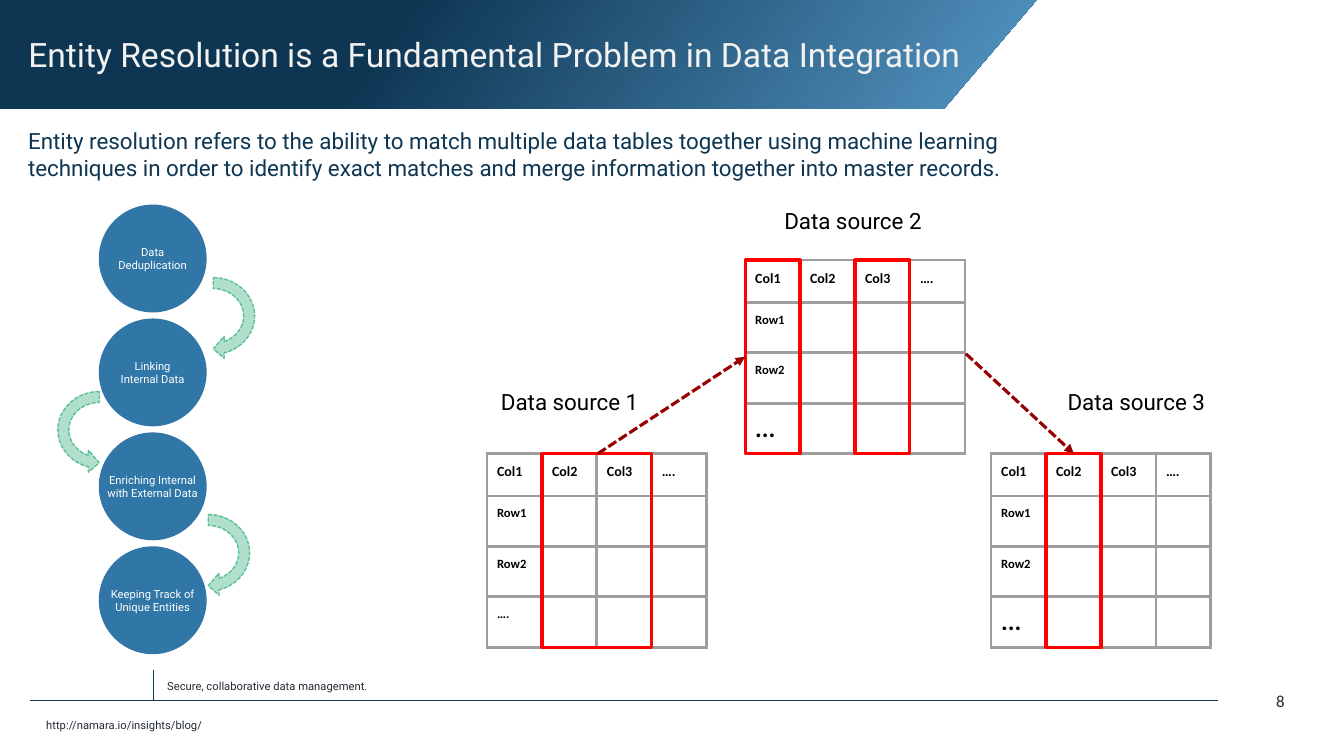
from pptx import Presentation
from pptx.dml.color import RGBColor as RGB
from pptx.enum.dml import MSO_LINE as Dash
from pptx.enum.shapes import MSO_CONNECTOR as Link, MSO_SHAPE as Kind
from pptx.enum.text import MSO_ANCHOR as Anchor, PP_ALIGN as Align
from pptx.oxml import parse_xml
from pptx.oxml.ns import nsdecls
from pptx.util import Inches, Pt
from lxml import etree

NAVY = RGB(0x0E, 0x36, 0x53)
SKY = RGB(0x55, 0x97, 0xC5)
BLUE = RGB(0x30, 0x76, 0xA6)
MINT = RGB(0x5B, 0xBF, 0x96)
SLATE = RGB(0x22, 0x2A, 0x35)
PALE = RGB(0xF2, 0xF2, 0xF2)
WHITE = RGB(0xFF, 0xFF, 0xFF)
BLACK = RGB(0, 0, 0)
GRAY = RGB(0x9E, 0x9E, 0x9E)
RED = RGB(0xFF, 0, 0)
WINE = RGB(0x98, 0, 0)

NOTE = {"size": Pt(8), "name": "Roboto"}
LABEL = {"size": Pt(16), "name": "Roboto"}
CELL = {"name": "Calibri", "bold": True}


def put(item, look):
    """Set each named value on the item."""
    for key, value in look.items():
        setattr(item, key, value)


def write(frame, text, look, color, align=Align.LEFT, **setup):
    """Fill a text frame, one paragraph per line."""
    put(frame, {"word_wrap": True, **setup})
    frame.text = text
    for para in frame.paragraphs:
        para.alignment = align
        for run in para.runs:
            put(run.font, look)
            run.font.color.rgb = color


def label(slide, box, text, look, color, align=Align.LEFT, **setup):
    """Add a text box."""
    area = slide.shapes.add_textbox(*map(Inches, box))
    write(area.text_frame, text, look, color, align, **setup)


def shape(slide, kind, box, fill=None, line=None, width=1):
    """Add a preset shape with its fill and line."""
    part = slide.shapes.add_shape(kind, *box)
    part.shadow.inherit = False
    if fill is None:
        part.fill.background()
    else:
        part.fill.solid()
        part.fill.fore_color.rgb = fill
    if line is None:
        part.line.fill.background()
    else:
        part.line.color.rgb = line
        part.line.width = Pt(width)
    return part


def rule(slide, ends, color, width):
    """Add a straight line without a shadow."""
    line = slide.shapes.add_connector(Link.STRAIGHT, *map(Inches, ends))
    line.line.color.rgb = color
    line.line.width = Pt(width)
    line._element.spPr.append(parse_xml(f"<a:effectLst {nsdecls('a')}/>"))
    return line


def arrow(slide, ends):
    """Add a dashed arrow between two tables."""
    line = rule(slide, ends, WINE, 2.25)
    line.line.dash_style = Dash.SQUARE_DOT
    head = parse_xml(f'<a:tailEnd {nsdecls("a")} type="triangle"/>')
    line.line._get_or_add_ln().append(head)


def banner(slide, left, top, width, height):
    """Draw the slanted title band."""
    slant = 0.92
    right, base = left + width, top + height
    form = slide.shapes.build_freeform(Inches(left), Inches(base), 1)
    edge = [(0, top), (right, top), (right - slant, base)]
    form.add_line_segments([(Inches(x), Inches(y)) for x, y in edge])
    band = form.convert_to_shape()
    band.shadow.inherit = False
    band.line.fill.background()
    band.fill.gradient()
    band.fill.gradient_angle = 360 - 36
    stops = zip(band.fill.gradient_stops, (0.37, 1), (NAVY, SKY))
    for stop, place, color in stops:
        stop.position = place
        stop.color.rgb = color
    write(band.text_frame,
          "Entity Resolution is a Fundamental Problem in Data Integration",
          {"size": Pt(24), "name": "Roboto"}, PALE,
          vertical_anchor=Anchor.MIDDLE, margin_left=Inches(0.29))


def footer(slide, left, top, width):
    """Draw the rules, the notes and the page number."""
    tick = left + 1.22
    rule(slide, (left, top, left + width, top), NAVY, 0.5)
    rule(slide, (tick, top - 0.3, tick, top), NAVY, 0.5)
    label(slide, (tick + 0.04, top - 0.26, 2.22, 0.24),
          "Secure, collaborative data management.", NOTE, SLATE)
    label(slide, (left + 0.06, top + 0.13, 1.75, 0.24),
          "http://namara.io/insights/blog/", NOTE, SLATE)
    label(slide, (left + 9.54, top - 0.2, 3, 0.4), "8",
          {"size": Pt(12), "name": "Calibri"}, SLATE, Align.RIGHT,
          vertical_anchor=Anchor.MIDDLE)


def steps(slide, left, top):
    """Draw the chain of circles and the curved arrows."""
    names = ("Data\nDeduplication", "Linking\nInternal Data",
             "Enriching Internal\nwith External Data",
             "Keeping Track of\nUnique Entities")
    size, pitch = 1.07, 1.13
    for i, name in enumerate(names):
        box = (left, top + i * pitch, size, size)
        disc = shape(slide, Kind.OVAL, map(Inches, box), BLUE)
        write(disc.text_frame, name, NOTE, WHITE, Align.CENTER,
              word_wrap=False, vertical_anchor=Anchor.MIDDLE)
    bends = ((0.7, 0.64, False), (0.65, 2.99, False), (-0.43, 1.77, True))
    for dx, dy, flip in bends:
        box = (left + dx, top + dy, 0.87, 0.93)
        bend = shape(slide, Kind.CIRCULAR_ARROW, map(Inches, box), MINT, MINT)
        bend.rotation = 90
        bend.line.dash_style = Dash.SQUARE_DOT
        if flip:
            bend._element.spPr.xfrm.set("flipV", "1")
        tint = bend._element.spPr.find("{*}solidFill/{*}srgbClr")
        tint.append(parse_xml(f'<a:alpha {nsdecls("a")} val="48000"/>'))


def border(cell):
    """Give a cell four gray edges and no fill."""
    props = cell._tc.get_or_add_tcPr()
    for side in "LRTB":
        edge = etree.fromstring(
            f'<a:ln{side} {nsdecls("a")} w="{Pt(2.25)}"><a:solidFill>'
            f'<a:srgbClr val="{GRAY}"/></a:solidFill></a:ln{side}>')
        props.append(edge)
    cell.fill.background()


def source(slide, left, top, name, shift, last, marks):
    """Draw one data table, its name and its marked columns."""
    x, y, width, height = map(Inches, (left, top, 2.18, 1.92))
    col = width // 4
    grid = slide.shapes.add_table(4, 4, x, y, width, height).table
    put(grid, {"first_row": False, "horz_banding": False})
    for part in grid.columns:
        part.width = col
    for part, size in zip(grid.rows, (0.42, 0.5, 0.5, 0.5)):
        part.height = Inches(size)
    texts = {(0, i): (t, 10) for i, t in
             enumerate(("Col1", "Col2", "Col3", "…."))}
    texts |= {(1, 0): ("Row1", 9), (2, 0): ("Row2", 9), (3, 0): last}
    pads = dict.fromkeys(("margin_left", "margin_right", "margin_top",
                          "margin_bottom"), Inches(0.1))
    for r in range(4):
        for c in range(4):
            cell = grid.cell(r, c)
            put(cell, pads)
            border(cell)
            if (r, c) in texts:
                text, size = texts[r, c]
                write(cell.text_frame, text, {**CELL, "size": Pt(size)}, BLACK)
    for first, count in marks:
        box = (x + first * col, y, count * col, height)
        shape(slide, Kind.RECTANGLE, box, line=RED, width=2.25)
    dx, dy = shift
    label(slide, (left + dx, top + dy, 1.59, 0.4), name, LABEL, BLACK,
          margin_top=Inches(0.1), margin_right=0)


def main():
    """Build the slide and save it."""
    deck = Presentation()
    put(deck, {"slide_width": Inches(13.33), "slide_height": Inches(7.5)})
    slide = deck.slides.add_slide(deck.slide_layouts[6])
    footer(slide, 0.3, 6.95, 11.78)
    banner(slide, -0.01, 0, 10.29, 1.08)
    label(slide, (0.18, 1.21, 10.09, 0.64),
          "Entity resolution refers to the ability to match multiple data "
          "tables together using machine learning techniques in order to "
          "identify exact matches and merge information together into "
          "master records.", LABEL, NAVY)
    source(slide, 4.83, 4.5, "Data source 1", (0.04, -0.75), ("….", 9),
           [(1, 2)])
    source(slide, 7.39, 2.58, "Data source 2", (0.29, -0.62), ("...", 18),
           [(0, 1), (2, 1)])
    source(slide, 9.83, 4.5, "Data source 3", (0.66, -0.75), ("...", 18),
           [(1, 1)])
    arrow(slide, (5.93, 4.5, 7.39, 3.54))
    arrow(slide, (9.58, 3.51, 10.65, 4.5))
    steps(slide, 0.98, 2.03)
    deck.save("out.pptx")


if __name__ == "__main__":
    main()
